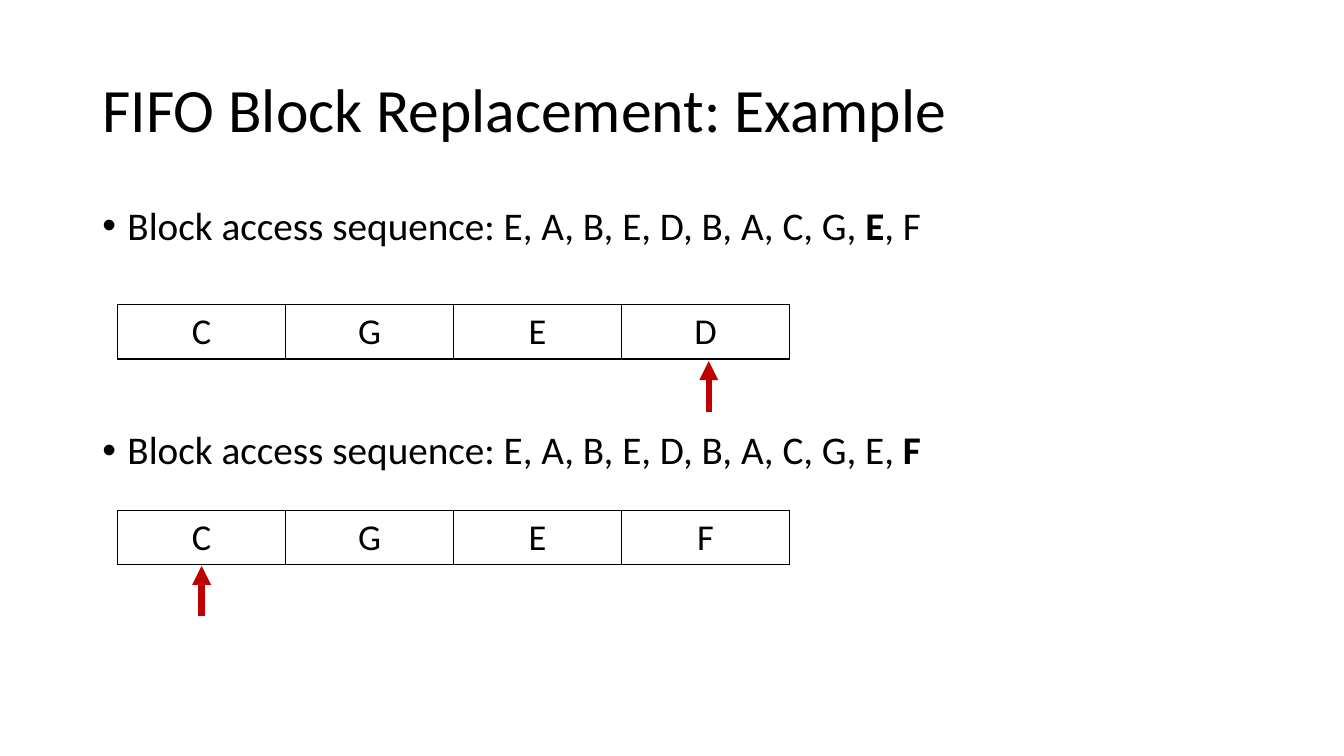
from lxml.etree import SubElement
from pptx import Presentation
from pptx.dml.color import RGBColor
from pptx.enum.shapes import MSO_CONNECTOR
from pptx.enum.text import MSO_ANCHOR, PP_ALIGN
from pptx.oxml.ns import qn
from pptx.util import Emu, Pt

FONT = "Calibri"
BLACK = "000000"
RED = "C00000"
LEFT, WIDTH = 88, 1104
ROW_LEFT, CELL_W, CELL_H = 112, 160, 52
ARROW_H = 48


def px(n):
    return Emu(n * 9525)


def color(code):
    return RGBColor.from_string(code)


def style(run, size, bold=False):
    run.font.name = FONT
    run.font.size = Pt(size)
    run.font.bold = bold
    run.font.color.rgb = color(BLACK)


def add_box(slide, top, height):
    box = slide.shapes.add_textbox(px(LEFT), px(top), px(WIDTH), px(height))
    box.text_frame.word_wrap = True
    return box.text_frame


def add_title(slide, text):
    frame = add_box(slide, 38, 139)
    frame.vertical_anchor = MSO_ANCHOR.MIDDLE
    frame.text = text
    para = frame.paragraphs[0]
    para.line_spacing = 0.9
    style(para.runs[0], 44)


def add_bullet(para, parts):
    """Fill a bulleted paragraph; every second part is bold."""
    props = para._p.get_or_add_pPr()
    props.set("marL", str(px(24)))
    props.set("indent", str(-px(24)))
    para.line_spacing = 0.9
    SubElement(props, qn("a:buFont"), typeface="Arial")
    SubElement(props, qn("a:buChar"), char="•")
    for i, part in enumerate(parts):
        run = para.add_run()
        run.text = part
        style(run, 28, bold=i % 2 == 1)


def add_border(cell):
    props = cell._tc.get_or_add_tcPr()
    for i, side in enumerate(("lnL", "lnR", "lnT", "lnB")):
        line = props.makeelement(qn(f"a:{side}"), {"w": str(Pt(1))})
        fill = SubElement(line, qn("a:solidFill"))
        SubElement(fill, qn("a:srgbClr"), val=BLACK)
        props.insert(i, line)


def add_cache(slide, top, blocks):
    """Draw one row of cache blocks as a table."""
    count = len(blocks)
    frame = slide.shapes.add_table(
        1, count, px(ROW_LEFT), px(top), px(CELL_W * count), px(CELL_H))
    table = frame.table
    table.first_row = False
    table.horz_banding = False
    for cell, block in zip(table.rows[0].cells, blocks):
        cell.text = block
        cell.fill.background()
        add_border(cell)
        para = cell.text_frame.paragraphs[0]
        para.alignment = PP_ALIGN.CENTER
        style(para.runs[0], 26)


def add_arrow(slide, x, tip):
    """Draw an upward arrow that ends at the given tip."""
    arrow = slide.shapes.add_connector(
        MSO_CONNECTOR.STRAIGHT, px(x), px(tip + ARROW_H), px(x), px(tip))
    arrow.line.color.rgb = color(RED)
    arrow.line.width = Pt(4.5)
    SubElement(arrow.line._get_or_add_ln(), qn("a:tailEnd"), type="triangle")
    SubElement(arrow._element.spPr, qn("a:effectLst"))


def main():
    deck = Presentation()
    deck.slide_width, deck.slide_height = px(1280), px(720)
    slide = deck.slides.add_slide(deck.slide_layouts[6])

    add_title(slide, "FIFO Block Replacement: Example")
    body = add_box(slide, 192, 457)
    add_bullet(body.paragraphs[0], (
        "Block access sequence: E, A, B, E, D, B, A, C, G, ", "E", ", F"))
    second = body.add_paragraph()
    second.space_before = Pt(130)
    add_bullet(second, (
        "Block access sequence: E, A, B, E, D, B, A, C, G, E, ", "F"))

    for top, blocks, x, tip in ((290, "CGED", 675, 344),
                                (486, "CGEF", 192, 539)):
        add_cache(slide, top, blocks)
        add_arrow(slide, x, tip)

    deck.save("out.pptx")


if __name__ == "__main__":
    main()
